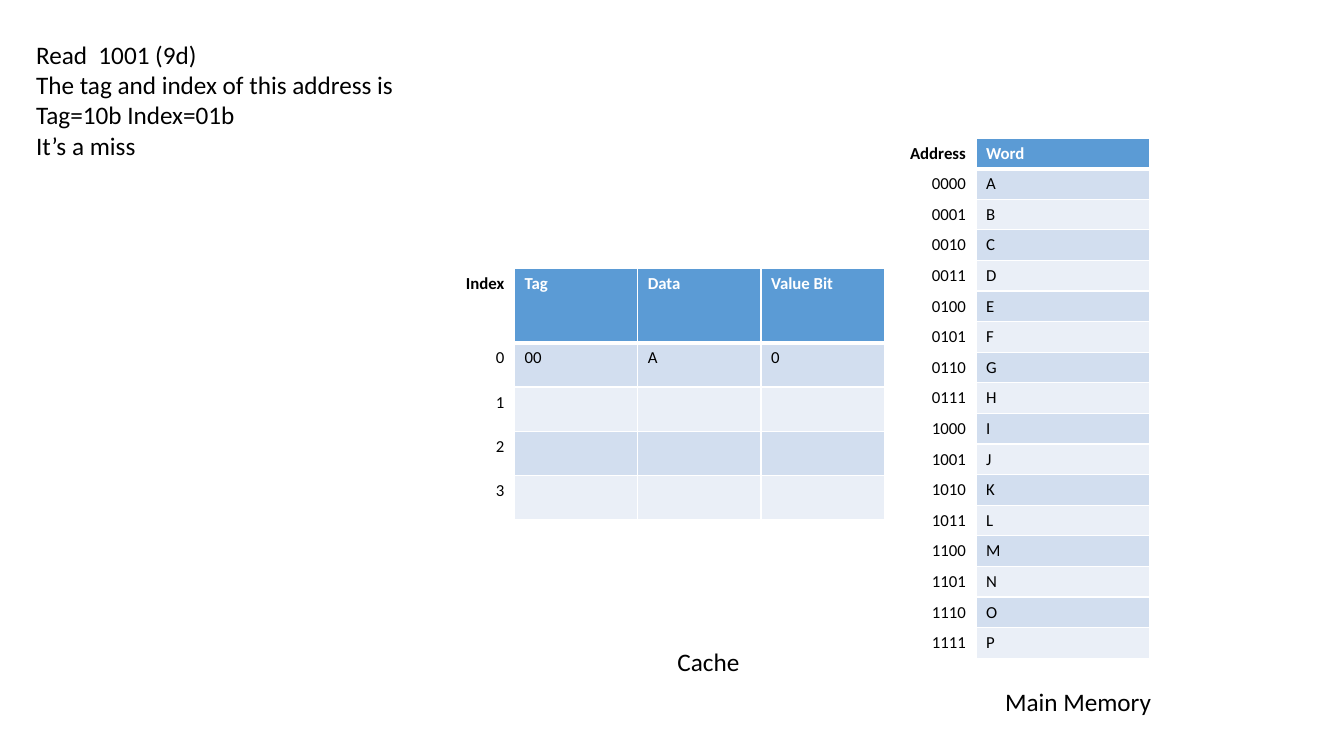
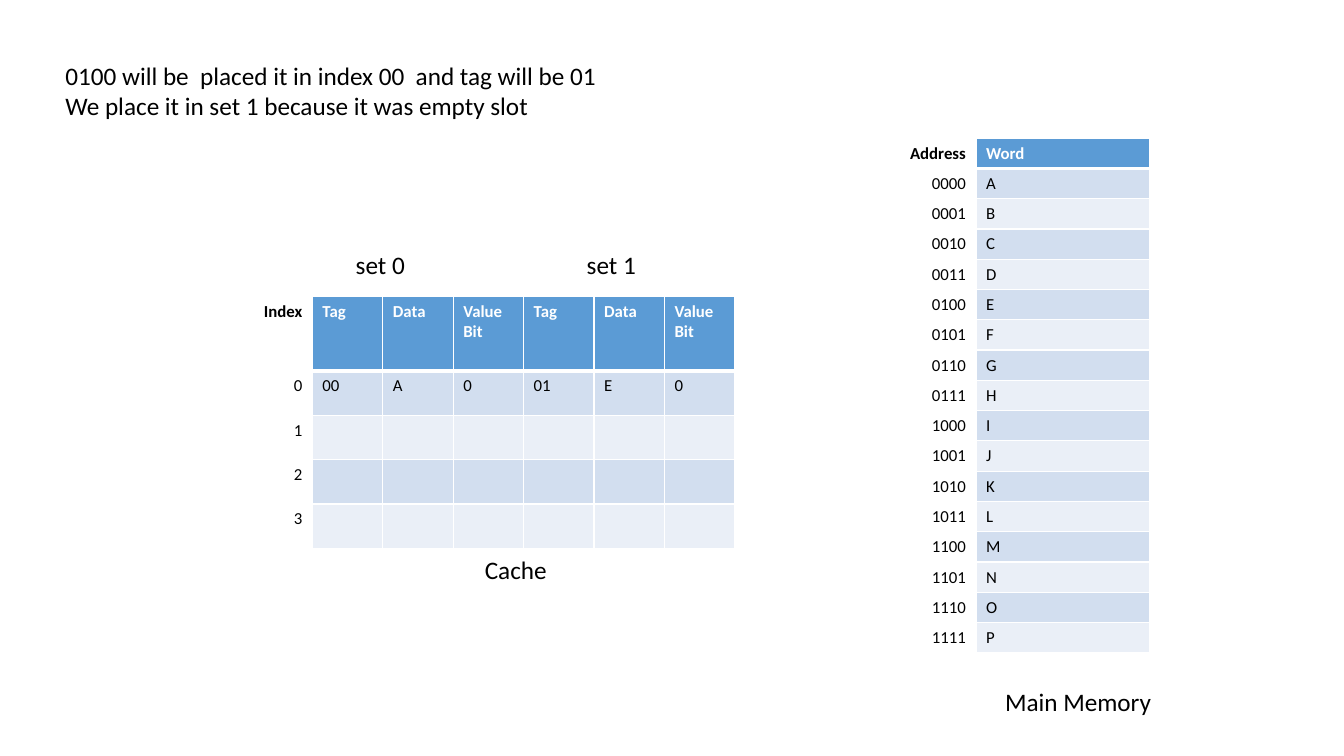
from lxml.etree import SubElement as Sub
from pptx import Presentation
from pptx.dml.color import RGBColor as RGB
from pptx.enum.text import MSO_AUTO_SIZE as Fit, PP_ALIGN as Align
from pptx.oxml.ns import qn
from pptx.util import Inches, Pt

COLORS = {"ink": "000000", "paper": "FFFFFF", "head": "5B9BD5",
          "dark": "D2DEEF", "light": "EAEFF7"}
FONT = "Calibri"


def add_text(frame, lines, size, color="ink", bold=False, align=Align.LEFT):
    for i, line in enumerate(lines):
        par = frame.add_paragraph() if i else frame.paragraphs[0]
        par.alignment = align
        run = par.add_run()
        run.text = line
        run.font.name = FONT
        run.font.size = Pt(size)
        run.font.bold = bold
        run.font.color.rgb = RGB.from_string(COLORS[color])


def add_grid(slide, left, top, width, heights, rows):
    """Draw a banded table whose first column holds plain row labels."""
    count = len(rows[0])
    grid = slide.shapes.add_table(
        len(rows), count, Inches(left), Inches(top),
        Inches(width), Inches(sum(heights))).table
    grid.horz_banding = False
    for col in grid.columns:
        col.width = Inches(width / count)
    for r, row in enumerate(rows):
        grid.rows[r].height = Inches(heights[r])
        band = "head" if r == 0 else "dark" if r % 2 else "light"
        for c, word in enumerate(row):
            cell = grid.cell(r, c)
            # White borders, thick below the header
            props = cell._tc.get_or_add_tcPr()
            for side in "LRTB":
                thick = (r, side) in [(0, "B"), (1, "T")]
                line = Sub(props, qn("a:ln" + side), w=str(Pt(3 if thick else 1)))
                fill = Sub(line, qn("a:solidFill"))
                Sub(fill, qn("a:srgbClr"), val=COLORS["paper"])
            if c == 0:
                cell.fill.background()
            else:
                cell.fill.solid()
                cell.fill.fore_color.rgb = RGB.from_string(COLORS[band])
            if word:
                add_text(cell.text_frame, [word], 12,
                         "paper" if r == 0 and c else "ink", r == 0,
                         Align.LEFT if c else Align.RIGHT)


# Shared table contents
memory = [["Address", "Word"]]
memory += [[f"{n:04b}", chr(ord("A") + n)] for n in range(16)]
fields = ["Tag", "Data", "Value Bit"]

# What differs between the slides: text boxes are (left, top, width, height, lines)
pages = [
    {"cache": (3.88, 2.66), "sets": [["00", "A", "0"]],
     "texts": [
         (6.62, 6.36, 0.82, 0.4, ["Cache"]),
         (0.26, 0.34, 4.06, 1.62, [
             "Read  1001 (9d)",
             "The tag and index of this address is",
             "Tag=10b Index=01b",
             "It’s a miss"])]},
    {"cache": (2.4, 2.94), "sets": [["00", "A", "0"], ["01", "E", "0"]],
     "texts": [
         (4.71, 5.45, 0.82, 0.4, ["Cache"]),
         (3.43, 2.42, 0.75, 0.4, ["set 0"]),
         (5.72, 2.42, 0.75, 0.4, ["set 1"]),
         (0.55, 0.55, 5.67, 0.71, [
             "0100 will be  placed it in index 00  and tag will be 01",
             "We place it in set 1 because it was empty slot"])]},
]

deck = Presentation()
deck.slide_width, deck.slide_height = Inches(13.33), Inches(7.5)

for page in pages:
    slide = deck.slides.add_slide(deck.slide_layouts[6])

    # Main memory
    add_grid(slide, 7.96, 1.37, 3.44, [0.3] * len(memory), memory)

    # Cache: one group of fields per set, only index 0 filled
    sets = page["sets"]
    cache = [["Index"] + fields * len(sets), ["0"] + sum(sets, [])]
    cache += [[str(n)] + [""] * 3 * len(sets) for n in range(1, 4)]
    add_grid(slide, *page["cache"], 4.89, [0.74] + [0.44] * 4, cache)

    # Captions and explanation
    for *place, lines in page["texts"] + [(9.87, 6.76, 1.67, 0.4, ["Main Memory"])]:
        box = slide.shapes.add_textbox(*map(Inches, place))
        box.text_frame.word_wrap = place[3] > 1
        box.text_frame.auto_size = Fit.SHAPE_TO_FIT_TEXT
        add_text(box.text_frame, lines, 18)

deck.save("out.pptx")
